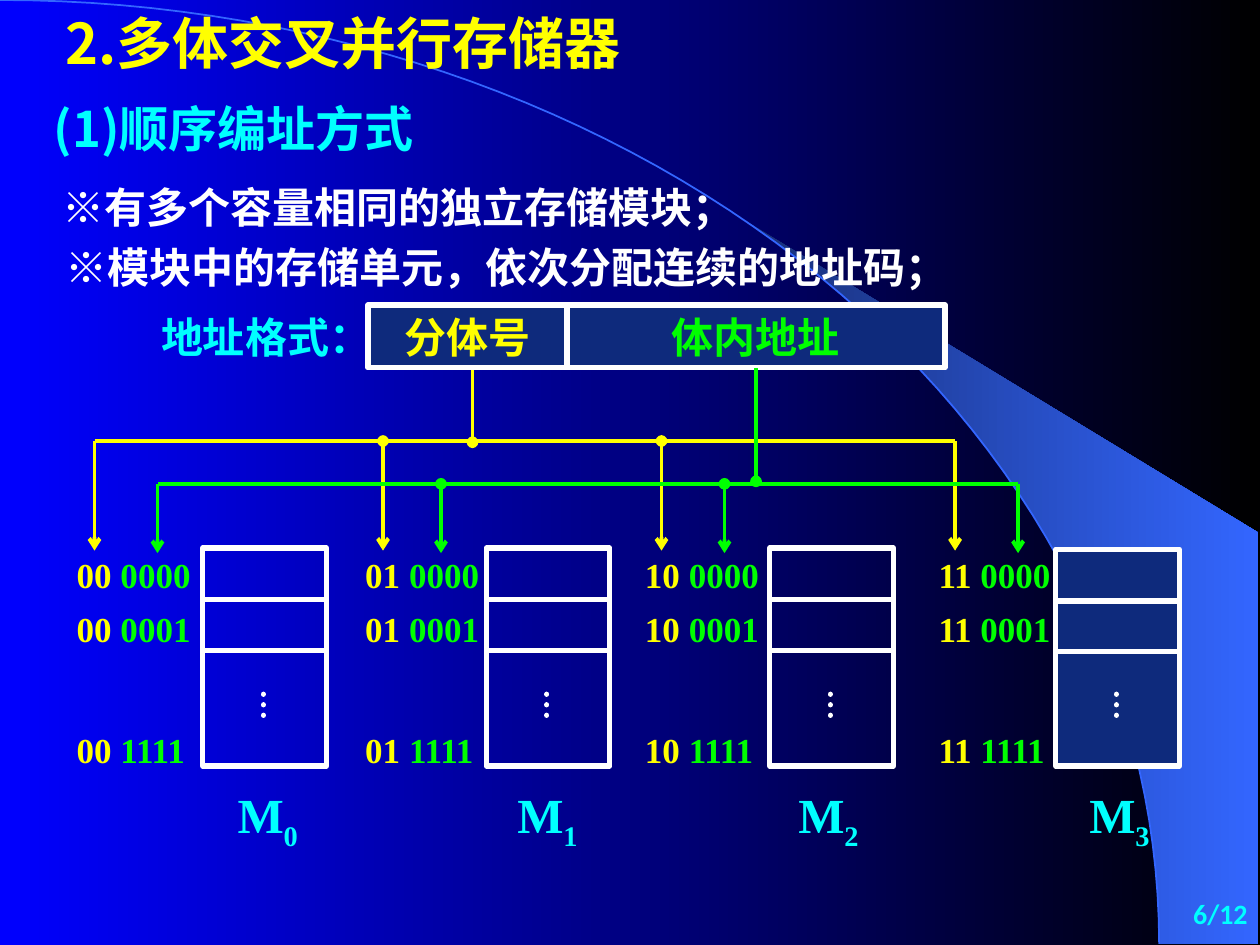
from math import asin, cos, pi, sin

from lxml import etree
from pptx import Presentation
from pptx import util as u
from pptx.dml.color import RGBColor
from pptx.enum import dml, shapes, text
from pptx.oxml.ns import qn

BLUE = RGBColor(0x00, 0x00, 0xFF)
BLACK = RGBColor(0x00, 0x00, 0x00)
NAVY = RGBColor(0x0E, 0x2A, 0x7C)
FAN_DARK = RGBColor(0x18, 0x2F, 0x76)
FAN_LIGHT = RGBColor(0x33, 0x66, 0xFF)
YELLOW = RGBColor(0xFF, 0xFF, 0x00)
GREEN = RGBColor(0x00, 0xFF, 0x00)
CYAN = RGBColor(0x00, 0xFF, 0xFF)
WHITE = RGBColor(0xFF, 0xFF, 0xFF)

CJK = "Noto Sans CJK SC"
SERIF = "Times New Roman"
LEFT, CENTER, RIGHT = text.PP_ALIGN.LEFT, text.PP_ALIGN.CENTER, text.PP_ALIGN.RIGHT
TOP, MIDDLE = text.MSO_ANCHOR.TOP, text.MSO_ANCHOR.MIDDLE

# Each memory module: number, code left, block left, block top, name left, fill
MODULES = [
    ("00", 0.51, 1.61, 4.35, 1.65, None),
    ("01", 2.8, 3.86, 4.35, 3.87, None),
    ("10", 5.02, 6.11, 4.35, 6.1, None),
    ("11", 7.35, 8.38, 4.36, 8.41, NAVY),
]
CODE_ROWS = [("0000", 4.34), ("0001", 4.77), ("1111", 5.73)]
BLOCK_WIDTH, BLOCK_BOTTOM = 0.98, 6.08
MODULE_DROPS = [0.75, 3.04, 5.25, 7.58]
INNER_DROPS = [1.25, 3.5, 5.75, 8.08]
ARC_RX, ARC_RY = 9.2, 7.49


def set_gradient(fill, first, last):
    fill.gradient()
    fill.gradient_angle = 0
    for stop, color, position in zip(fill.gradient_stops, (first, last), (0, 1)):
        stop.color.rgb = color
        stop.position = position


def style_paragraph(paragraph, size, color, font=CJK, align=LEFT):
    paragraph.alignment = align
    paragraph.font.size = u.Pt(size)
    paragraph.font.bold = True
    paragraph.font.name = font
    paragraph.font.color.rgb = color
    east_asian = etree.SubElement(paragraph.font._element, qn("a:ea"))
    east_asian.set("typeface", CJK)


def add_label(slide, box, words, size, color, font=CJK, align=LEFT,
              anchor=TOP, wrap=True, spacing=None):
    label = slide.shapes.add_textbox(*map(u.Inches, box))
    frame = label.text_frame
    frame.word_wrap = wrap
    frame.vertical_anchor = anchor
    paragraph = frame.paragraphs[0]
    paragraph.line_spacing = spacing
    style_paragraph(paragraph, size, color, font, align)
    paragraph.add_run().text = words
    return paragraph


def add_block(slide, box, fill=None):
    block = slide.shapes.add_shape(shapes.MSO_SHAPE.RECTANGLE, *map(u.Inches, box))
    block.shadow.inherit = False
    if fill is None:
        block.fill.background()
    else:
        block.fill.solid()
        block.fill.fore_color.rgb = fill
    block.line.color.rgb = WHITE
    block.line.width = u.Pt(3)
    return block


def add_field(slide, box, words, color):
    field = add_block(slide, box, NAVY)
    field.text_frame.vertical_anchor = MIDDLE
    paragraph = field.text_frame.paragraphs[0]
    style_paragraph(paragraph, 24, color, SERIF, CENTER)
    paragraph.add_run().text = words
    return field


def add_line(slide, start, end, color, width=2.25, head=None, tail=None):
    line = slide.shapes.add_connector(
        shapes.MSO_CONNECTOR.STRAIGHT, *map(u.Inches, (*start, *end)))
    line.line.color.rgb = color
    line.line.width = u.Pt(width)
    for tag, kind in (("a:headEnd", head), ("a:tailEnd", tail)):
        if kind:
            etree.SubElement(line.line._get_or_add_ln(), qn(tag)).set("type", kind)
    etree.SubElement(line._element.spPr, qn("a:effectLst"))
    return line


def arc_points(start_x, steps=60):
    first = asin(start_x / ARC_RX)
    angles = [first + (pi / 2 - first) * i / steps for i in range(steps + 1)]
    return [(ARC_RX * sin(a), ARC_RY * (1 - cos(a))) for a in angles]


def add_outline(slide, points, close):
    corners = [(u.Inches(x), u.Inches(y)) for x, y in points]
    builder = slide.shapes.build_freeform(*corners[0])
    builder.add_line_segments(corners[1:], close=close)
    outline = builder.convert_to_shape()
    outline.shadow.inherit = False
    return outline


def add_backdrop(slide):
    set_gradient(slide.background.fill, BLUE, BLACK)
    fan = add_outline(slide, arc_points(5.89) + [(9.99, 7.49), (9.99, 4.23)], True)
    set_gradient(fan.fill, FAN_DARK, FAN_LIGHT)
    fan.line.fill.background()
    arc = add_outline(slide, arc_points(0), False)
    arc.fill.background()
    arc.line.color.rgb = FAN_LIGHT
    arc.line.width = u.Pt(1)


def add_module(slide, index, number, code_left, left, top, name_left, fill):
    # Address codes
    for inner, code_top in CODE_ROWS:
        code = add_label(slide, (code_left, code_top, 1.18, 0.44), number + " ",
                         20, YELLOW, SERIF)
        inner_run = code.add_run()
        inner_run.text = inner
        inner_run.font.color.rgb = GREEN

    # Memory cells
    add_block(slide, (left, top, BLOCK_WIDTH, BLOCK_BOTTOM - top), fill)
    for offset in (0.41, 0.81):
        y = top + offset
        add_line(slide, (left, y), (left + BLOCK_WIDTH, y), WHITE, 3)
    dots_x = left + 0.48
    dots = add_line(slide, (dots_x, 5.51), (dots_x, 5.75), WHITE, 3)
    dots.line.dash_style = dml.MSO_LINE.ROUND_DOT
    dots.line._get_or_add_ln().set("cap", "rnd")

    # Module name
    name = add_label(slide, (name_left, 6.18, 0.95, 0.63), "M", 28, CYAN, SERIF, CENTER)
    subscript = name.add_run()
    subscript.text = str(index)
    subscript._r.get_or_add_rPr().set("baseline", "-25000")


def add_bus(slide, drops, y, arrow_y, color):
    add_line(slide, (drops[0], y), (drops[-1], y), color)
    for x in drops:
        joint = None if x in (drops[0], drops[-1]) else "oval"
        add_line(slide, (x, y), (x, arrow_y), color, head=joint, tail="arrow")


def main():
    prs = Presentation()
    prs.slide_width, prs.slide_height = u.Inches(10), u.Inches(7.5)
    slide = prs.slides.add_slide(prs.slide_layouts[6])
    add_backdrop(slide)

    # Headings and statements
    add_label(slide, (0.42, 0, 5, 0.67), "2.多体交叉并行存储器", 32, YELLOW, anchor=MIDDLE)
    add_label(slide, (0.33, 0.68, 3.58, 0.67), "(1)顺序编址方式", 28, CYAN, anchor=MIDDLE)
    add_label(slide, (0.4, 1.31, 6.6, 0.58), "※有多个容量相同的独立存储模块；",
              24, WHITE, spacing=1.2)
    add_label(slide, (0.42, 1.79, 8.17, 0.58), "※模块中的存储单元，依次分配连续的地址码；",
              24, WHITE, spacing=1.2)

    # Address format
    add_label(slide, (1.18, 2.42, 1.86, 0.5), "地址格式：", 24, CYAN,
              anchor=MIDDLE, wrap=False)
    add_line(slide, (3.75, 2.92), (3.75, 3.51), YELLOW, tail="oval")
    add_field(slide, (2.92, 2.42, 1.58, 0.5), "分体号", YELLOW)
    inner_field = add_field(slide, (4.5, 2.42, 3, 0.5), "体内地址", GREEN)

    # Memory modules
    for index, module in enumerate(MODULES):
        add_module(slide, index, *module)

    # Buses from the address fields to the modules
    add_bus(slide, MODULE_DROPS, 3.5, 4.37, YELLOW)
    inner_stem = add_line(slide, (6, 2.92), (6, 3.82), GREEN, tail="oval")
    inner_stem.begin_connect(inner_field, 2)
    add_bus(slide, INNER_DROPS, 3.84, 4.39, GREEN)

    # Page number
    add_label(slide, (7.92, 7, 2.08, 0.5), "6/12", 16, CYAN, "Calibri", RIGHT, MIDDLE)
    prs.save("out.pptx")


if __name__ == "__main__":
    main()
